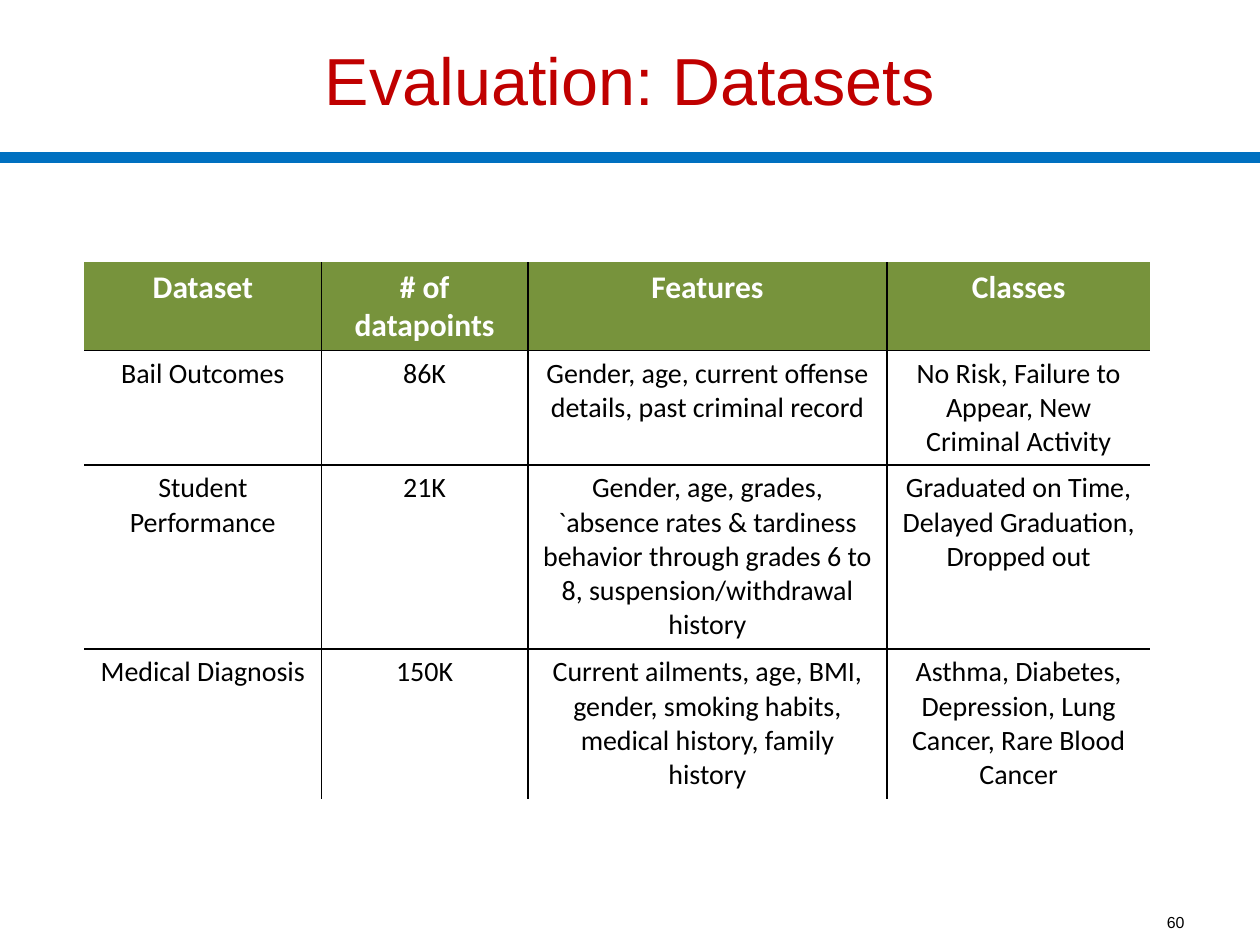
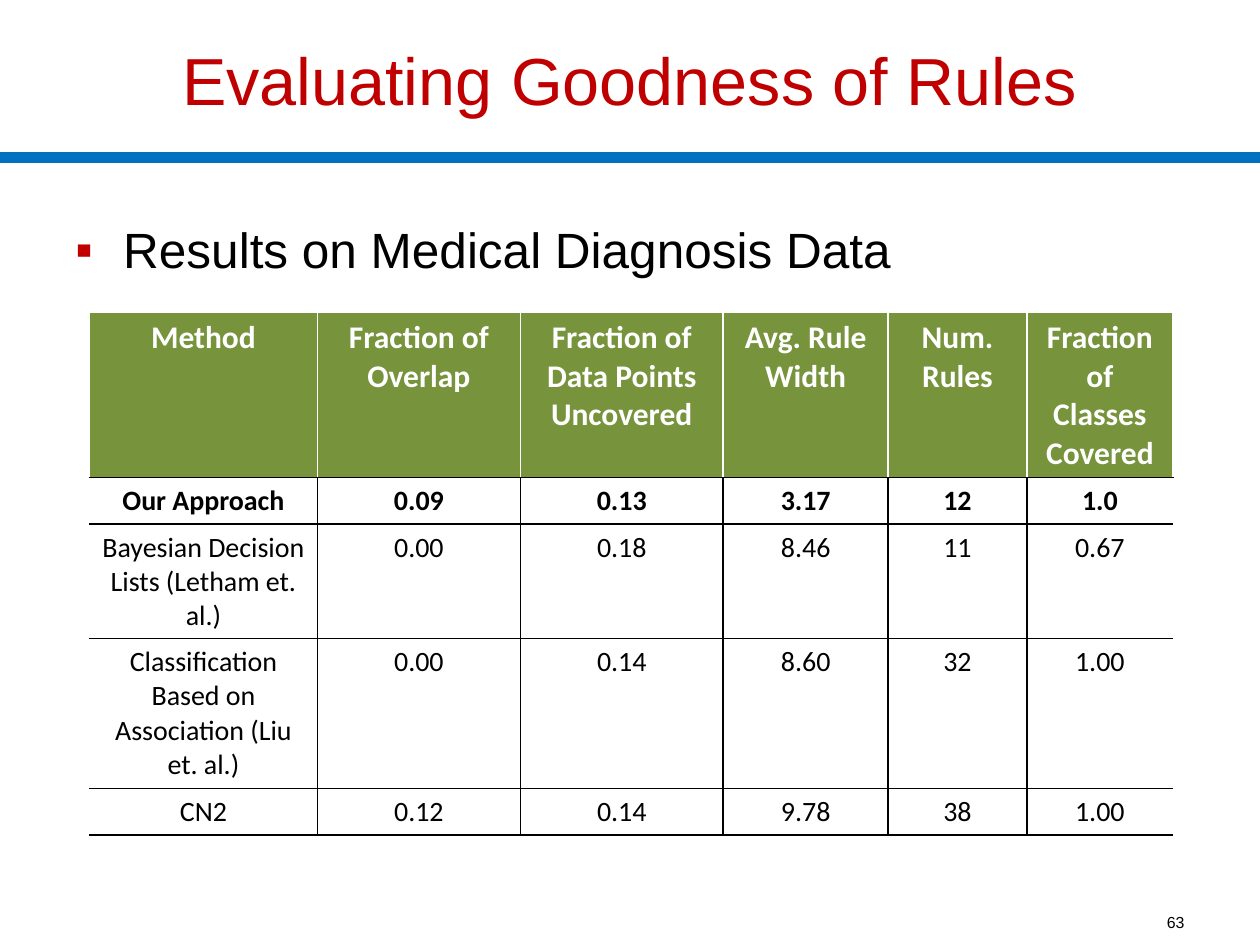
from dataclasses import dataclass

from lxml import etree
from pptx import Presentation
from pptx.dml.color import RGBColor
from pptx.enum.shapes import MSO_CONNECTOR
from pptx.enum.text import MSO_ANCHOR, PP_ALIGN
from pptx.oxml.ns import qn
from pptx.util import Emu, Pt

STRAIGHT = MSO_CONNECTOR.STRAIGHT
TOP, MIDDLE = MSO_ANCHOR.TOP, MSO_ANCHOR.MIDDLE
LEFT, CENTER, RIGHT = PP_ALIGN.LEFT, PP_ALIGN.CENTER, PP_ALIGN.RIGHT

EMU_PER_PX = 9144
SLIDE_WIDTH, SLIDE_HEIGHT = 1000, 750
BAND_Y = 125
BULLET_INDENT = 38

RED, BLUE, GREEN = "C00000", "0070C0", "77933C"
BLACK, WHITE = "000000", "FFFFFF"
HEADING_FONT, TABLE_FONT = "Arial", "Calibri"


@dataclass(frozen=True)
class Box:
    left: int
    top: int
    width: int
    height: int


@dataclass(frozen=True)
class TableSpec:
    left: int
    top: int
    columns: list[int]
    rows: list[int]
    cells: list[list[str]]
    header_line: str = BLACK
    header_framed: bool = False
    closed_bottom: bool = False
    body_fill: str | None = None
    bold_rows: tuple[int, ...] = (0,)


@dataclass(frozen=True)
class SlideSpec:
    title: str
    number: str
    table: TableSpec
    bullet: str | None = None


TITLE_BOX = Box(0, 0, SLIDE_WIDTH, BAND_Y)
BULLET_BOX = Box(50, 169, 900, 60)
NUMBER_BOX = Box(717, 723, 233, 18)

SLIDES = [
    SlideSpec(
        "Evaluation: Datasets",
        "60",
        TableSpec(
            67, 208, [188, 164, 285, 209], [70, 91, 146, 119],
            [
                ["Dataset", "# of datapoints", "Features", "Classes"],
                ["Bail Outcomes", "86K",
                 "Gender, age, current offense details, past criminal record",
                 "No Risk, Failure to Appear, New Criminal Activity"],
                ["Student Performance", "21K",
                 "Gender, age, grades, `absence rates & tardiness behavior "
                 "through grades 6 to 8, suspension/withdrawal history",
                 "Graduated on Time, Delayed Graduation, Dropped out"],
                ["Medical Diagnosis", "150K",
                 "Current ailments, age, BMI, gender, smoking habits, "
                 "medical history, family history",
                 "Asthma, Diabetes, Depression, Lung Cancer, Rare Blood Cancer"],
            ],
        ),
    ),
    SlideSpec(
        "Evaluating Goodness of Rules",
        "63",
        TableSpec(
            71, 248, [181, 161, 161, 131, 110, 116], [131, 37, 91, 119, 37],
            [
                ["Method", "Fraction of Overlap",
                 "Fraction of\nData Points\nUncovered", "Avg. Rule Width",
                 "Num. Rules", "Fraction of Classes Covered"],
                ["Our Approach", "0.09", "0.13", "3.17", "12", "1.0"],
                ["Bayesian Decision Lists (Letham et. al.)",
                 "0.00", "0.18", "8.46", "11", "0.67"],
                ["Classification Based on Association (Liu et. al.)",
                 "0.00", "0.14", "8.60", "32", "1.00"],
                ["CN2", "0.12", "0.14", "9.78", "38", "1.00"],
            ],
            header_line=WHITE,
            header_framed=True,
            closed_bottom=True,
            body_fill=WHITE,
            bold_rows=(0, 1),
        ),
        bullet="Results on Medical Diagnosis Data",
    ),
]


def px(length: int) -> Emu:
    return Emu(length * EMU_PER_PX)


def rgb(color: str) -> RGBColor:
    return RGBColor.from_string(color)


def add_bullet(paragraph) -> None:
    properties = paragraph._p.get_or_add_pPr()
    properties.set("marL", str(px(BULLET_INDENT)))
    properties.set("indent", str(px(-BULLET_INDENT)))
    bullet_color = etree.SubElement(properties, qn("a:buClr"))
    etree.SubElement(bullet_color, qn("a:srgbClr"), val=RED)
    etree.SubElement(properties, qn("a:buFont"), typeface=HEADING_FONT)
    etree.SubElement(properties, qn("a:buChar"), char="▪")


def write_text(frame, text: str, *, size: float, color: str = BLACK,
               font: str = HEADING_FONT, bold: bool = False,
               align=LEFT, bulleted: bool = False) -> None:
    frame.word_wrap = True
    frame.text = text
    for paragraph in frame.paragraphs:
        paragraph.alignment = align
        if bulleted:
            add_bullet(paragraph)
        for run in paragraph.runs:
            run.font.name = font
            run.font.size = Pt(size)
            run.font.bold = bold
            run.font.color.rgb = rgb(color)


def add_text(slide, box: Box, text: str, *, anchor=MIDDLE, **text_format) -> None:
    shape = slide.shapes.add_textbox(
        px(box.left), px(box.top), px(box.width), px(box.height))
    frame = shape.text_frame
    frame.margin_top = frame.margin_bottom = px(0 if anchor == MIDDLE else 5)
    frame.vertical_anchor = anchor
    write_text(frame, text, **text_format)


def add_band(slide) -> None:
    band = slide.shapes.add_connector(
        STRAIGHT, px(0), px(BAND_Y), px(SLIDE_WIDTH), px(BAND_Y))
    band.line.color.rgb = rgb(BLUE)
    band.line.width = Pt(6)
    etree.SubElement(band._element.spPr, qn("a:effectLst"))


def cell_edges(spec: TableSpec, row: int, column: int) -> dict[str, str | None]:
    header = row == 0
    framed = header and spec.header_framed
    last_row = row == len(spec.rows) - 1
    last_column = column == len(spec.columns) - 1
    side = spec.header_line if header else BLACK
    return {
        "a:lnL": side if column > 0 or framed else None,
        "a:lnR": side if not last_column or framed else None,
        "a:lnT": side if not header or framed else None,
        "a:lnB": BLACK if not last_row or spec.closed_bottom else None,
    }


def draw_edges(cell, edges: dict[str, str | None]) -> None:
    properties = cell._tc.get_or_add_tcPr()
    for position, (tag, color) in enumerate(edges.items()):
        line = etree.Element(qn(tag), w=str(Pt(1)))
        if color is None:
            etree.SubElement(line, qn("a:noFill"))
        else:
            fill = etree.SubElement(line, qn("a:solidFill"))
            etree.SubElement(fill, qn("a:srgbClr"), val=color)
        properties.insert(position, line)


def fill_cell(cell, color: str | None) -> None:
    if color is None:
        cell.fill.background()
    else:
        cell.fill.solid()
        cell.fill.fore_color.rgb = rgb(color)


def add_table(slide, spec: TableSpec) -> None:
    table = slide.shapes.add_table(
        len(spec.rows), len(spec.columns), px(spec.left), px(spec.top),
        px(sum(spec.columns)), px(sum(spec.rows))).table
    table.horz_banding = False
    for column, width in zip(table.columns, spec.columns):
        column.width = px(width)
    for row, height in zip(table.rows, spec.rows):
        row.height = px(height)
    for row_index, texts in enumerate(spec.cells):
        header = row_index == 0
        for column_index, text in enumerate(texts):
            cell = table.cell(row_index, column_index)
            fill_cell(cell, GREEN if header else spec.body_fill)
            draw_edges(cell, cell_edges(spec, row_index, column_index))
            write_text(cell.text_frame, text, size=18 if header else 16,
                       color=WHITE if header else BLACK, font=TABLE_FONT,
                       bold=row_index in spec.bold_rows, align=CENTER)


def build_slide(presentation, spec: SlideSpec) -> None:
    slide = presentation.slides.add_slide(presentation.slide_layouts[6])
    add_band(slide)
    add_text(slide, TITLE_BOX, spec.title, size=38, color=RED, align=CENTER)
    if spec.bullet:
        add_text(slide, BULLET_BOX, spec.bullet, anchor=TOP, size=28.3,
                 bulleted=True)
    add_text(slide, NUMBER_BOX, spec.number, size=9.1, align=RIGHT)
    add_table(slide, spec.table)


def main() -> None:
    presentation = Presentation()
    presentation.slide_width = px(SLIDE_WIDTH)
    presentation.slide_height = px(SLIDE_HEIGHT)
    for spec in SLIDES:
        build_slide(presentation, spec)
    presentation.save("out.pptx")


if __name__ == "__main__":
    main()
